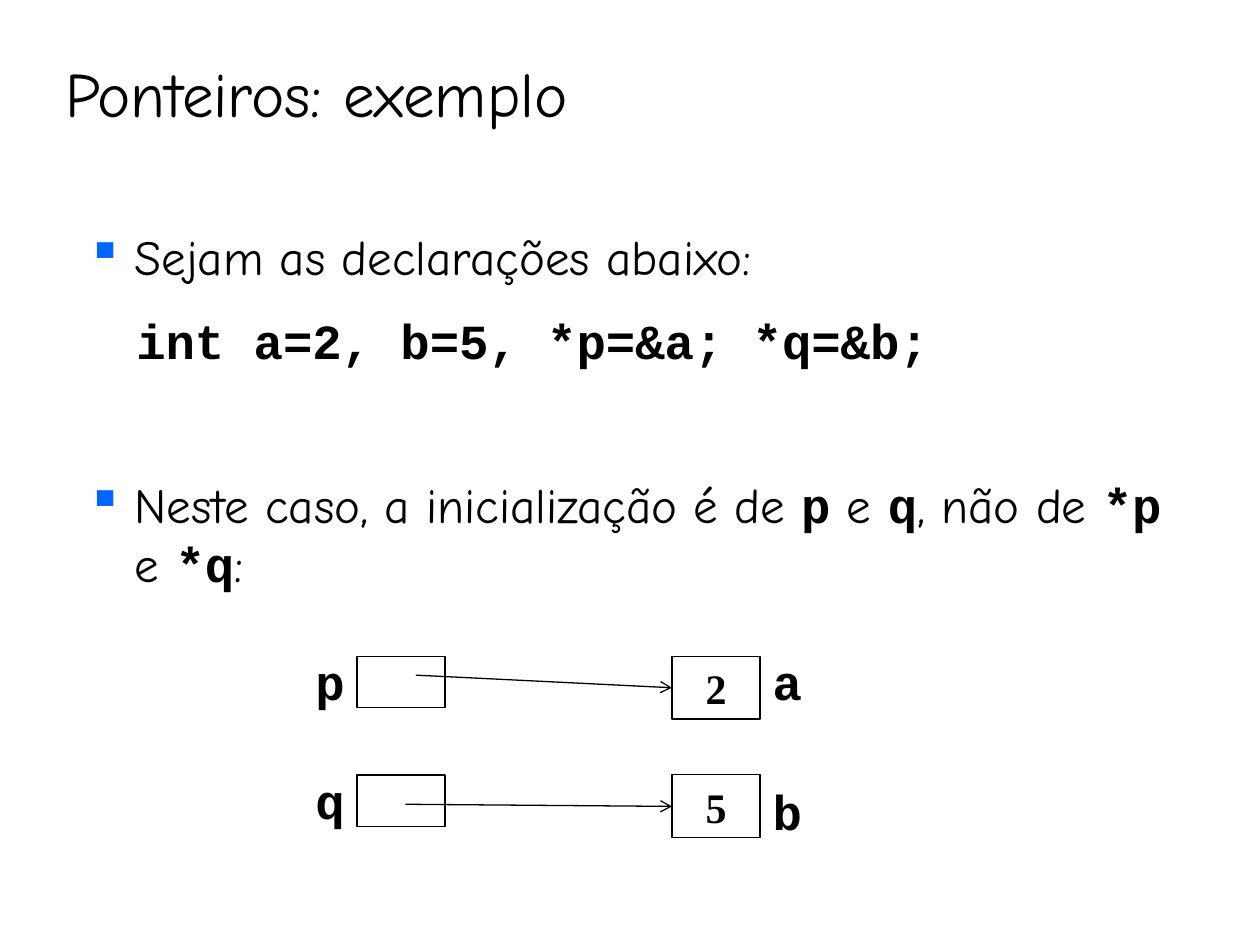
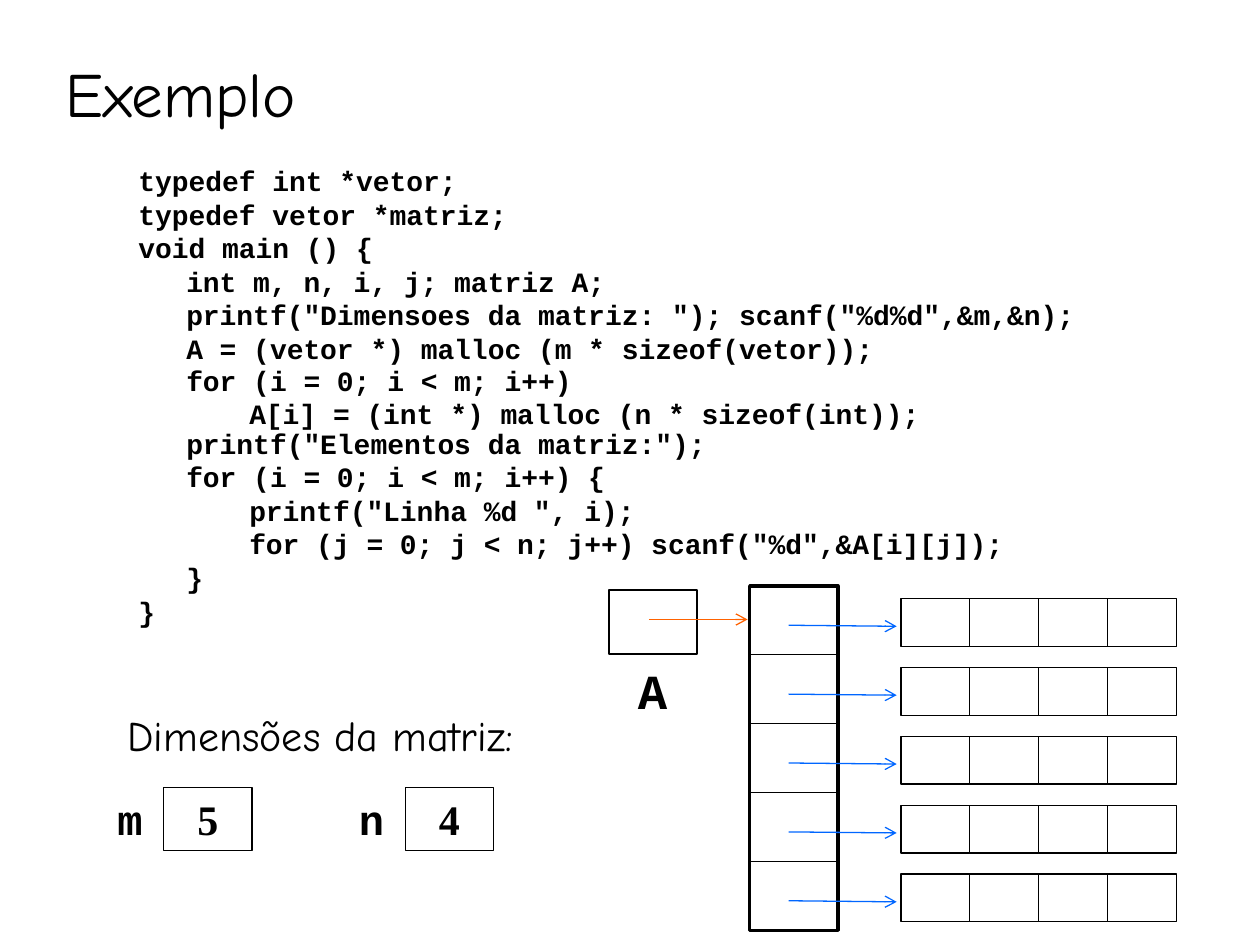
from dataclasses import dataclass

import lxml.etree
import pptx
import pptx.dml.color
import pptx.enum.shapes
import pptx.enum.text
import pptx.oxml.ns
import pptx.util

COLORS = {"ink": "000000", "paper": "FFFFFF", "blue": "0066FF", "orange": "FF6200"}
BODY, MONO, SERIF = "Comic Neue", "Courier New", "Times New Roman"
ALIGN = pptx.enum.text.PP_ALIGN
COLUMNS, ROWS = 120, 90
WIDTH, HEIGHT = pptx.util.Inches(10), pptx.util.Inches(7.5)
INDENT = pptx.util.Inches(0.38)
BOX_W, BOX_H = 8.4, 6
LABEL_W, LABEL_H = 6.6, 6.8
CELL = 6.56
MATRIX_ROWS, MATRIX_COLS = 5, 4


@dataclass(frozen=True)
class Area:
    """Left, top, width and height in grid columns and rows."""
    x: float
    y: float
    w: float
    h: float

    def emu(self) -> tuple[int, int, int, int]:
        return col(self.x), row(self.y), col(self.w), row(self.h)


@dataclass(frozen=True)
class Style:
    name: str
    size: int
    bold: bool = False


@dataclass(frozen=True)
class PointerRow:
    """A pointer box with an arrow to the box of the variable it points to."""
    pointer: str
    value: str
    variable: str
    y: float
    variable_y: float
    arrow: tuple[float, float, float]


@dataclass(frozen=True)
class CodeBlock:
    y: float
    h: float
    lines: tuple[str, ...]


TITLE = Style(BODY, 36)
TEXT = Style(BODY, 28)
CAPTION = Style(BODY, 24)
CODE_TEXT = Style(MONO, 28, True)
CODE = Style(MONO, 16, True)
DIMENSION = Style(MONO, 24, True)
VALUE = Style(SERIF, 24, True)

POINTERS = (
    PointerRow("p", "2", "a", 62.5, 61.5, (39.6, 64.3, 65.5)),
    PointerRow("q", "5", "b", 73.8, 73.8, (38.6, 76.6, 76.8)),
)
CODE_BLOCKS = (
    CodeBlock(15, 19, (
        "typedef int *vetor;",
        "typedef vetor *matriz;",
        "void main () {",
        "\tint m, n, i, j; matriz A;",
        '\tprintf("Dimensoes da matriz: "); scanf("%d%d",&m,&n);',
    )),
    CodeBlock(31, 5, ("\tA = (vetor *) malloc (m * sizeof(vetor));",)),
    CodeBlock(34, 8, (
        "\tfor (i = 0; i < m; i++)",
        "\t\tA[i] = (int *) malloc (n * sizeof(int));",
    )),
    CodeBlock(40, 22, (
        '\tprintf("Elementos da matriz:");',
        "\tfor (i = 0; i < m; i++) {",
        '\t\tprintf("Linha %d ", i);',
        '\t\tfor (j = 0; j < n; j++) scanf("%d",&A[i][j]);',
        "\t}",
        "}",
    )),
)


def col(n: float) -> int:
    return round(WIDTH * n / COLUMNS)


def row(n: float) -> int:
    return round(HEIGHT * n / ROWS)


def rgb(name: str) -> pptx.dml.color.RGBColor:
    return pptx.dml.color.RGBColor.from_string(COLORS[name])


def add_xml(parent, tag: str, **attrs: str):
    return lxml.etree.SubElement(parent, pptx.oxml.ns.qn(tag), attrs)


def set_font(font, style: Style) -> None:
    font.name, font.size, font.bold = style.name, pptx.util.Pt(style.size), style.bold
    font.color.rgb = rgb("ink")


def hang(p):
    """Give the paragraph a hanging indent and return its properties."""
    pPr = p._p.get_or_add_pPr()
    pPr.set("marL", str(INDENT))
    pPr.set("indent", str(-INDENT))
    return pPr


def add_text(slide, area: Area, text: str, style: Style, align=ALIGN.LEFT) -> None:
    tf = slide.shapes.add_textbox(*area.emu()).text_frame
    tf.word_wrap = True
    p = tf.paragraphs[0]
    p.text, p.alignment = text, align
    set_font(p.font, style)


def add_bullet(slide, area: Area, parts: tuple[tuple[str, Style], ...]) -> None:
    tf = slide.shapes.add_textbox(*area.emu()).text_frame
    tf.word_wrap = True
    p = tf.paragraphs[0]
    pPr = hang(p)
    add_xml(add_xml(pPr, "a:buClr"), "a:srgbClr", val=COLORS["blue"])
    add_xml(pPr, "a:buChar", char="▪")
    for text, style in parts:
        r = p.add_run()
        r.text = text
        set_font(r.font, style)


def add_code(slide, block: CodeBlock) -> None:
    tf = slide.shapes.add_textbox(*Area(12, block.y, 98, block.h).emu()).text_frame
    tf.word_wrap = True
    for i, line in enumerate(block.lines):
        p = tf.add_paragraph() if i else tf.paragraphs[0]
        p.text = line
        tabs = add_xml(hang(p), "a:tabLst")
        for inch in range(8):
            add_xml(tabs, "a:tab", pos=str(pptx.util.Inches(inch)), algn="l")
        set_font(p.font, CODE)


def add_box(slide, area: Area, text: str = "", filled: bool = False,
            weight: float = 0.75) -> None:
    sp = slide.shapes.add_shape(pptx.enum.shapes.MSO_SHAPE.RECTANGLE, *area.emu())
    sp.shadow.inherit = False
    if filled:
        sp.fill.solid()
        sp.fill.fore_color.rgb = rgb("paper")
    else:
        sp.fill.background()
    sp.line.color.rgb = rgb("ink")
    sp.line.width = pptx.util.Pt(weight)
    if text:
        tf = sp.text_frame
        tf.vertical_anchor = pptx.enum.text.MSO_ANCHOR.TOP
        p = tf.paragraphs[0]
        p.text, p.alignment = text, ALIGN.CENTER
        set_font(p.font, VALUE)


def add_line(slide, x1: float, y1: float, x2: float, y2: float,
             color: str = "ink", arrow: bool = True) -> None:
    line = slide.shapes.add_connector(pptx.enum.shapes.MSO_CONNECTOR.STRAIGHT,
                                      col(x1), row(y1), col(x2), row(y2))
    line.line.color.rgb = rgb(color)
    line.line.width = pptx.util.Pt(0.75)
    if arrow:
        add_xml(line.line._get_or_add_ln(), "a:tailEnd", type="arrow")
    add_xml(line._element.spPr, "a:effectLst")


def add_slide(prs, title: str):
    slide = prs.slides.add_slide(prs.slide_layouts[5])
    sp = slide.shapes.title
    sp.left, sp.top, sp.width, sp.height = Area(5, 3, 109, 10).emu()
    tf = sp.text_frame
    tf.vertical_anchor = pptx.enum.text.MSO_ANCHOR.BOTTOM
    p = tf.paragraphs[0]
    p.text, p.alignment = title, ALIGN.LEFT
    set_font(p.font, TITLE)
    return slide


def add_pointer_row(slide, item: PointerRow) -> None:
    pointer_x, value_x = 34, 64
    label_y = item.y - 1
    add_box(slide, Area(value_x, item.y, BOX_W, BOX_H), item.value)
    add_text(slide, Area(value_x + BOX_W, item.variable_y, LABEL_W, LABEL_H),
             item.variable, CODE_TEXT)
    add_box(slide, Area(pointer_x, item.y, BOX_W, 4.9))
    add_text(slide, Area(pointer_x - LABEL_W, label_y, LABEL_W, LABEL_H),
             item.pointer, CODE_TEXT, ALIGN.RIGHT)
    x, y1, y2 = item.arrow
    add_line(slide, x, y1, value_x, y2)


def add_matrix(slide) -> None:
    """Draw A, the vector of row pointers and the rows of cells."""
    x, y = 71.4, 55.8
    add_box(slide, Area(58, 56.2, BOX_W, 6.1))
    add_text(slide, Area(57, 62.3, 10.3, LABEL_H), "A", CODE_TEXT, ALIGN.CENTER)
    add_box(slide, Area(x, y, BOX_W, MATRIX_ROWS * CELL), filled=True, weight=2)
    add_line(slide, 61.8, 59, 71.2, 59, "orange")
    for i in range(MATRIX_ROWS):
        top = y + i * CELL
        if i:
            add_line(slide, x, top, x + BOX_W, top, arrow=False)
        add_line(slide, 75.1, top + 3.75, 85.4, top + 3.85, "blue")
        for j in range(MATRIX_COLS):
            add_box(slide, Area(85.8 + j * CELL, top + 1.2, CELL, 4.56), filled=True)


def build_pointers(prs) -> None:
    slide = add_slide(prs, "Ponteiros: exemplo")
    add_bullet(slide, Area(7.1, 21, 98.3, 7.7), (("Sejam as declarações abaixo:", TEXT),))
    add_text(slide, Area(11.8, 29, 84.1, LABEL_H), "int a=2, b=5, *p=&a; *q=&b;", CODE_TEXT)
    add_bullet(slide, Area(7.1, 44.6, 104.9, 14.2), (
        ("Neste caso, a inicialização é de ", TEXT), ("p", CODE_TEXT), (" e ", TEXT),
        ("q", CODE_TEXT), (", não de ", TEXT), ("*p", CODE_TEXT), (" e ", TEXT),
        ("*q", CODE_TEXT), (":", TEXT)))
    for item in POINTERS:
        add_pointer_row(slide, item)


def build_matrix(prs) -> None:
    slide = add_slide(prs, "Exemplo")
    add_matrix(slide)
    for name, value, x in (("m", "5", 10), ("n", "4", 33)):
        add_box(slide, Area(x + 5.6, 75, BOX_W, BOX_H), value)
        add_text(slide, Area(x, 75, LABEL_W, BOX_H), name, DIMENSION)
    add_text(slide, Area(9, 67, 43, BOX_H), "Dimensões da matriz:", CAPTION, ALIGN.CENTER)
    for block in CODE_BLOCKS:
        add_code(slide, block)


def main() -> None:
    prs = pptx.Presentation()
    prs.slide_width, prs.slide_height = WIDTH, HEIGHT
    build_pointers(prs)
    build_matrix(prs)
    prs.save("out.pptx")


if __name__ == "__main__":
    main()
